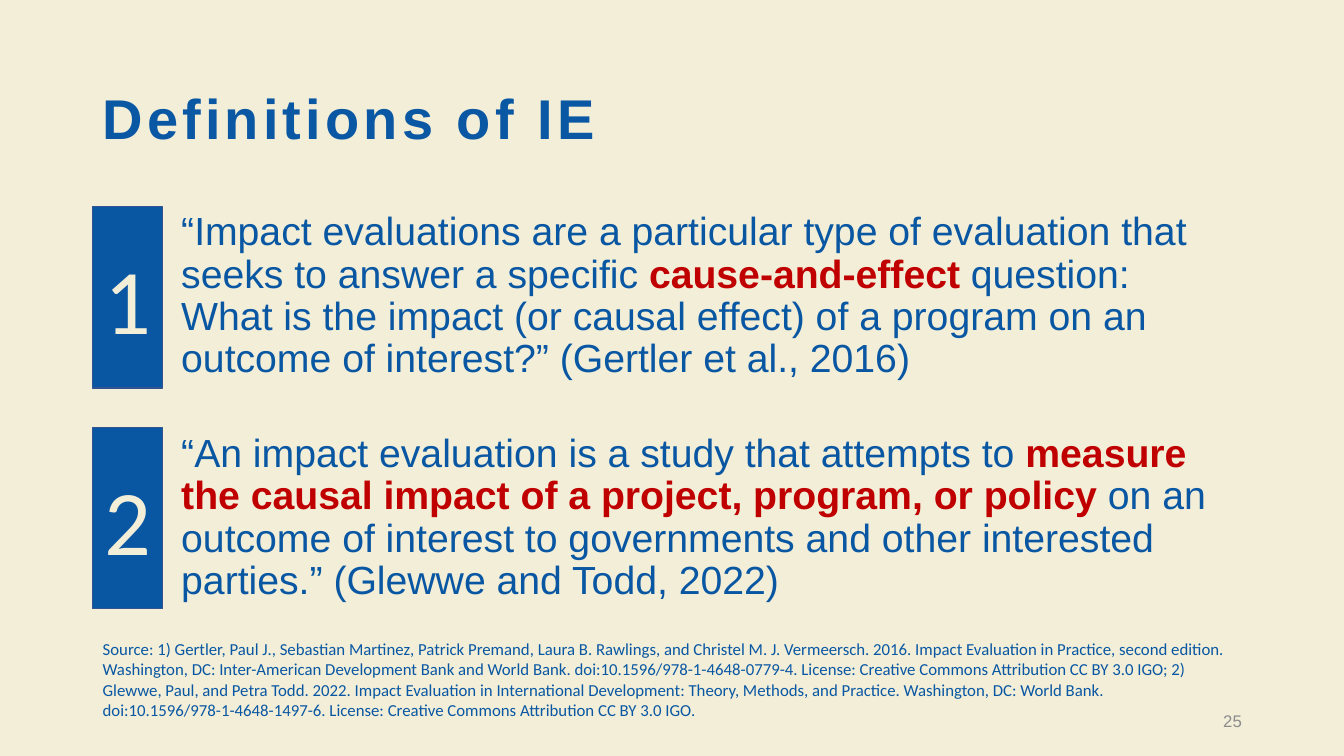
from pptx import Presentation
from pptx.dml.color import RGBColor
from pptx.enum.shapes import MSO_SHAPE
from pptx.enum.text import MSO_ANCHOR, PP_ALIGN
from pptx.util import Pt

RECTANGLE = MSO_SHAPE.RECTANGLE
TOP, MIDDLE = MSO_ANCHOR.TOP, MSO_ANCHOR.MIDDLE
LEFT, CENTER, RIGHT = PP_ALIGN.LEFT, PP_ALIGN.CENTER, PP_ALIGN.RIGHT

CREAM = RGBColor(0xF2, 0xEE, 0xD8)
TITLE_BLUE = RGBColor(0x0A, 0x57, 0xA3)
BLUE = RGBColor(0x09, 0x57, 0xA3)
EDGE_BLUE = RGBColor(0x32, 0x54, 0x91)
RED = RGBColor(0xC0, 0x00, 0x00)
GRAY = RGBColor(0x8C, 0x8C, 0x8C)

MARGIN = 66.24
BODY_TOP = 147.6
NUMBER_STEP = 157.7

DEFINITIONS = [
    ("“Impact evaluations are a particular type of evaluation that seeks to answer a specific ",
     "cause-and-effect ",
     "question: What is the impact (or causal effect) of a program on an outcome of interest?” "
     "(Gertler et al., 2016)"),
    ("“An impact evaluation is a study that attempts to ",
     "measure the causal impact of a project, program, or policy ",
     "on an outcome of interest to governments and other interested parties.” "
     "(Glewwe and Todd, 2022)"),
]
SOURCE = (
    "Source: 1) Gertler, Paul J., Sebastian Martinez, Patrick Premand, Laura B. Rawlings, and "
    "Christel M. J. Vermeersch. 2016. Impact Evaluation in Practice, second edition. "
    "Washington, DC: Inter-American Development Bank and World Bank. "
    "doi:10.1596/978-1-4648-0779-4. License: Creative Commons Attribution CC BY 3.0 IGO; "
    "2) Glewwe, Paul, and Petra Todd. 2022. Impact Evaluation in International Development: "
    "Theory, Methods, and Practice. Washington, DC: World Bank. "
    "doi:10.1596/978-1-4648-1497-6. License: Creative Commons Attribution CC BY 3.0 IGO."
)


def style_run(run, font_name, size, color, bold=False):
    """Format one run."""
    run.font.name = font_name
    run.font.size = Pt(size)
    run.font.color.rgb = color
    run.font.bold = bold


def add_frame(slide, left, top, width, height, anchor=TOP):
    """Add a wrapping text box and return its text frame."""
    frame = slide.shapes.add_textbox(Pt(left), Pt(top), Pt(width), Pt(height)).text_frame
    frame.word_wrap = True
    frame.vertical_anchor = anchor
    return frame


def write_line(frame, text, font_name, size, color, align=LEFT, bold=False):
    """Fill a frame with one paragraph and return its run."""
    frame.text = text
    paragraph = frame.paragraphs[0]
    paragraph.alignment = align
    style_run(paragraph.runs[0], font_name, size, color, bold)
    return paragraph.runs[0]


def add_number(slide, number, top):
    """Add a numbered block beside a definition."""
    block = slide.shapes.add_shape(RECTANGLE, Pt(MARGIN), Pt(top), Pt(49.7), Pt(129.6))
    block.shadow.inherit = False
    block.fill.solid()
    block.fill.fore_color.rgb = BLUE
    block.line.color.rgb = EDGE_BLUE
    block.line.width = Pt(1)
    block.text_frame.vertical_anchor = MIDDLE
    write_line(block.text_frame, str(number), "Calibri", 66, CREAM, CENTER)


def add_definitions(slide):
    """Add the definitions with their key phrases highlighted."""
    frame = add_frame(slide, 122.4, BODY_TOP, 761, 342.7)
    for index, (opening, key_phrase, closing) in enumerate(DEFINITIONS):
        paragraph = frame.add_paragraph() if index else frame.paragraphs[0]
        paragraph.line_spacing = Pt(30.2)
        if index:
            paragraph.space_before = Pt(37.6)
        for text, color, bold in (
            (opening, BLUE, False), (key_phrase, RED, True), (closing, BLUE, False)
        ):
            run = paragraph.add_run()
            run.text = text
            style_run(run, "Arial", 28, color, bold)


def main():
    """Build the slide of definitions."""
    presentation = Presentation()
    presentation.slide_width, presentation.slide_height = Pt(960), Pt(540)
    slide = presentation.slides.add_slide(presentation.slide_layouts[6])
    slide.background.fill.solid()
    slide.background.fill.fore_color.rgb = CREAM

    title_frame = add_frame(slide, MARGIN, 31.7, 733.7, 104.4, MIDDLE)
    title = write_line(title_frame, "Definitions of IE", "Arial", 40, TITLE_BLUE, bold=True)
    title.font._element.set("spc", "300")

    add_definitions(slide)
    for index in range(len(DEFINITIONS)):
        add_number(slide, index + 1, BODY_TOP + index * NUMBER_STEP)

    source_frame = add_frame(slide, MARGIN, 452.9, 817.2, 65.5)
    write_line(source_frame, SOURCE, "Calibri", 12, BLUE)
    page_frame = add_frame(slide, 678.2, 500.4, 216, 28.8, MIDDLE)
    write_line(page_frame, "25", "Arial", 12, GRAY, RIGHT)
    presentation.save("out.pptx")


if __name__ == "__main__":
    main()
